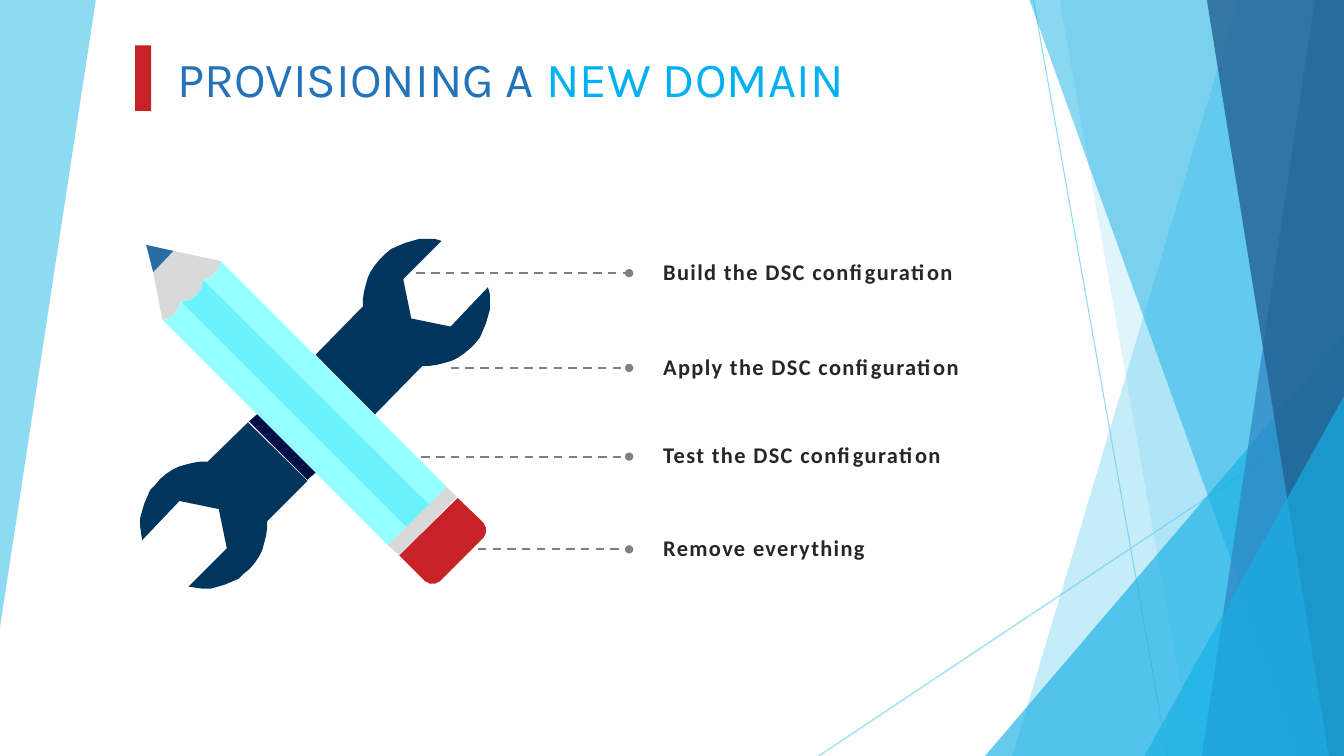
from dataclasses import dataclass
from math import cos, radians, sin

from lxml.etree import SubElement
from pptx import Presentation
from pptx.dml.color import RGBColor
from pptx.enum.dml import MSO_LINE
from pptx.enum.shapes import MSO_CONNECTOR, MSO_SHAPE
from pptx.oxml.ns import qn
from pptx.util import Pt

PX = 9144


@dataclass(frozen=True)
class Theme:
    """Colours, fonts and type sizes of the deck."""
    sky: str = "5FCBEF"
    cyan: str = "17B0E4"
    blue: str = "2E83C3"
    deep_blue: str = "226292"
    red: str = "C82128"
    title_blue: str = "2473BA"
    title_cyan: str = "00B0F0"
    wood: str = "D9D9D9"
    lead: str = "286D9F"
    pencil_light: str = "96FFFF"
    pencil_mid: str = "6AF3FC"
    wrench: str = "00355D"
    wrench_shade: str = "000F44"
    guide: str = "808080"
    ink: str = "262626"
    title_font: str = "Karla"
    body_font: str = "Calibri"
    title_size: int = 35
    body_size: int = 16


@dataclass(frozen=True)
class Box:
    """A region of the page in px."""
    left: int
    top: int
    width: int
    height: int

    def emu(self):
        """Return the four lengths in EMU."""
        return [n * PX for n in (self.left, self.top, self.width, self.height)]


THEME = Theme()


def set_alpha(shape, percent):
    """Make the first colour of a shape or line translucent."""
    colour = shape._element.spPr.find(".//" + qn("a:srgbClr"))
    SubElement(colour, qn("a:alpha")).set("val", str(percent * 1000))


def paint(shape, colour, alpha=100):
    """Give a shape a flat fill without line or shadow."""
    shape.shadow.inherit = False
    shape.fill.solid()
    shape.fill.fore_color.rgb = RGBColor.from_string(colour)
    shape.line.fill.background()
    if alpha < 100:
        set_alpha(shape, alpha)


def add_outline(page, box, points, colour, alpha=100):
    """Draw a filled polygon whose points are relative to the box."""
    builder = page.shapes.build_freeform(*points[0], scale=PX)
    builder.add_line_segments(points[1:], close=True)
    paint(builder.convert_to_shape(box.left * PX, box.top * PX), colour, alpha)


def add_preset(page, kind, box, colour, alpha=100):
    """Draw a filled preset shape in the box."""
    shape = page.shapes.add_shape(kind, *box.emu())
    paint(shape, colour, alpha)
    return shape


def add_line(page, start, end, colour, width):
    """Draw a straight line without shadow."""
    line = page.shapes.add_connector(
        MSO_CONNECTOR.STRAIGHT, *[n * PX for n in (*start, *end)])
    line.line.color.rgb = RGBColor.from_string(colour)
    line.line.width = Pt(width)
    SubElement(line._element.spPr, qn("a:effectLst"))
    return line


def add_text(page, box, spans, font, size):
    """Write one paragraph made of (text, colour) spans."""
    frame = page.shapes.add_textbox(*box.emu()).text_frame
    frame.word_wrap = True
    para = frame.paragraphs[0]
    para.font.name = font
    para.font.size = Pt(size)
    for text, colour in spans:
        span = para.add_run()
        span.text = text
        span.font.color.rgb = RGBColor.from_string(colour)
    return para


def arc(x, y, radius, start, end, steps=16):
    """Return points along a circle, with angles in degrees clockwise."""
    angles = [radians(start + (end - start) * i / steps) for i in range(steps + 1)]
    return [(round(x + radius * cos(a), 2), round(y + radius * sin(a), 2))
            for a in angles]


def draw_backdrop(page, box):
    """Draw the translucent facets at both edges of the page."""
    right, bottom = box.width, box.height

    def facet(top_left, bottom_left, colour, alpha):
        add_outline(page, box, [(top_left, 0), (right, 0), (right, bottom),
                                (bottom_left, bottom)], colour, alpha)

    def corner(width, height):
        region = Box(box.left + right - width, box.top + bottom - height, width, height)
        triangle = add_preset(page, MSO_SHAPE.ISOSCELES_TRIANGLE, region, THEME.cyan, 66)
        triangle.adjustments[0] = 1

    add_outline(page, box, [(0, 0), (95, 0), (0, 622)], THEME.sky, 70)
    for start, end in (((1025, 0), (1158, bottom)), ((right, 403), (812, bottom))):
        ends = [(box.left + x, box.top + y) for x, y in (start, end)]
        set_alpha(add_line(page, *ends, THEME.sky, 0.75), 70)
    facet(1228, 1004, THEME.sky, 36)
    facet(1051, 1183, THEME.sky, 20)
    corner(356, 417)
    facet(1021, 1291, THEME.cyan, 50)
    facet(1304, 1192, THEME.blue, 70)
    facet(1197, 1318, THEME.deep_blue, 80)
    corner(198, 357)


def draw_title(page, box):
    """Draw the red marker and the two-coloured title."""
    add_preset(page, MSO_SHAPE.RECTANGLE,
               Box(box.left, box.top + 2, 16, 65), THEME.red)
    add_text(page, Box(box.left + 32, box.top, box.width - 32, box.height),
             [("PROVISIONING A ", THEME.title_blue), ("NEW DOMAIN", THEME.title_cyan)],
             THEME.title_font, THEME.title_size)


def draw_pencil(page, box):
    """Draw the pencil from eraser to tip."""
    eraser = [(314, 257), *arc(329, 289, 13, -45, 45),
              *arc(289, 329, 13, 45, 135), (256, 314)]
    add_outline(page, box, eraser, THEME.red)
    scallops = [arc(59, 20, 20, 6, 84), arc(40, 41, 21, -3, 93), arc(19, 60, 20, 6, 84)]
    tip, tip_right, tip_left = (5, 6), (32, 12), (12, 33)
    wood = [tip, tip_right, *sum(scallops, []), tip_left]
    add_outline(page, box, wood, THEME.wood)
    ends = [(303, 246), (286, 264), (263, 286), (245, 304)]
    colours = (THEME.pencil_light, THEME.pencil_mid, THEME.pencil_light)
    for scallop, upper, lower, colour in zip(scallops, ends, ends[1:], colours):
        add_outline(page, box, [upper, lower, *reversed(scallop)], colour)
    add_outline(page, box, [tip, tip_right, tip_left], THEME.lead)
    add_outline(page, box, [ends[0], (313, 256), (256, 314), ends[-1]], THEME.wood)


def draw_wrench(page, box):
    """Draw both wrench heads and the shaded strip beside the pencil."""
    heads = (((283, 63), 0, [(232, 174), (173, 115)]),
             ((62, 284), 180, [(106, 182), (165, 240)]))
    for (x, y), turn, handle in heads:
        sign = -1 if turn else 1
        jaw = [(x + sign * dx, y + sign * dy) for dx, dy in ((-23, -23), (-15, 16), (24, 24))]
        head = [*arc(x, y, 63, 176 + turn, 284 + turn), *jaw,
                *arc(x, y, 63, turn - 14, turn + 94), *handle]
        add_outline(page, box, head, THEME.wrench)
    add_outline(page, box, [(115, 174), (173, 232), (165, 239), (107, 181)],
                THEME.wrench_shade)


def draw_callout(page, box, label):
    """Draw a dashed guide ending in a dot, then its label."""
    middle, label_left = box.top + 20, box.left + box.width - 334
    guide = add_line(page, (box.left, middle), (label_left - 24, middle), THEME.guide, 1.5)
    guide.line.dash_style = MSO_LINE.DASH
    SubElement(guide.line._get_or_add_ln(), qn("a:tailEnd")).set("type", "oval")
    para = add_text(page, Box(label_left, box.top, 334, box.height),
                    [(label, THEME.ink)], THEME.body_font, THEME.body_size)
    para.font.bold = True
    para.runs[0]._r.get_or_add_rPr().set("spc", "100")


def main():
    """Build and save the deck."""
    deck = Presentation()
    deck.slide_width, deck.slide_height = 1333 * PX, 750 * PX
    page = deck.slides.add_slide(deck.slide_layouts[6])
    draw_backdrop(page, Box(0, 0, 1333, 750))
    draw_title(page, Box(134, 43, 897, 69))
    tools = Box(140, 237, 346, 348)
    draw_pencil(page, tools)
    draw_wrench(page, tools)
    callouts = ((413, 251, "Build the DSC configuration"),
                (447, 345, "Apply the DSC configuration"),
                (418, 433, "Test the DSC configuration"),
                (474, 525, "Remove everything"))
    for left, top, label in callouts:
        draw_callout(page, Box(left, top, 982 - left, 37), label)
    deck.save("out.pptx")


if __name__ == "__main__":
    main()
